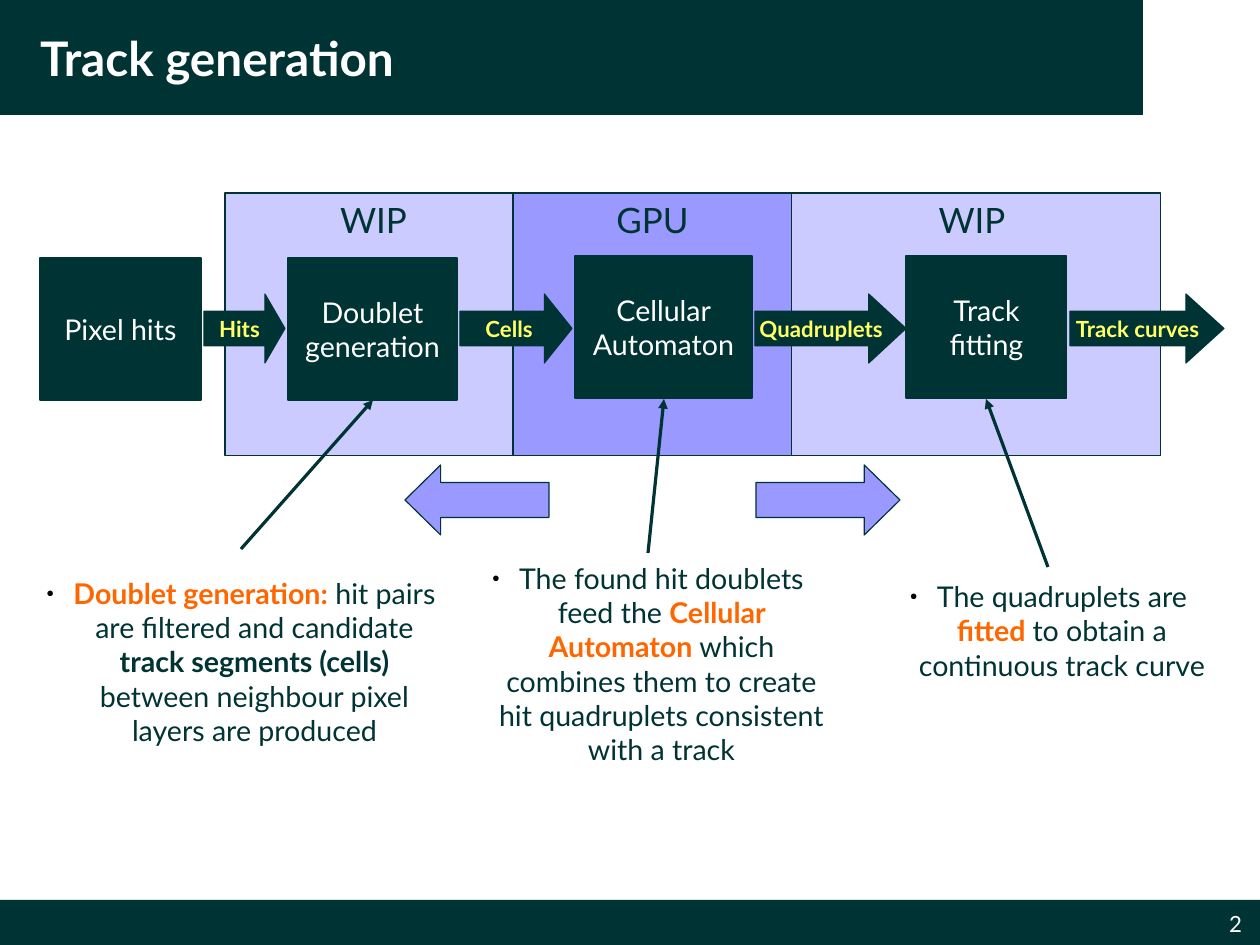
"""Build the track generation slide: a pipeline diagram with three explanations."""
from lxml import etree
from pptx import Presentation
from pptx.dml.color import RGBColor
from pptx.enum.shapes import MSO_CONNECTOR, MSO_SHAPE
from pptx.enum.text import MSO_ANCHOR, MSO_AUTO_SIZE, PP_ALIGN
from pptx.oxml.ns import qn
from pptx.util import Pt

PX = 8000
RECTANGLE = MSO_SHAPE.RECTANGLE
LEFT_ARROW, RIGHT_ARROW = MSO_SHAPE.LEFT_ARROW, MSO_SHAPE.RIGHT_ARROW
STRAIGHT = MSO_CONNECTOR.STRAIGHT
TOP, MIDDLE = MSO_ANCHOR.TOP, MSO_ANCHOR.MIDDLE
LEFT, CENTER, RIGHT = PP_ALIGN.LEFT, PP_ALIGN.CENTER, PP_ALIGN.RIGHT
NO_AUTOFIT = MSO_AUTO_SIZE.NONE

DARK = RGBColor(0x00, 0x33, 0x33)
VIOLET = RGBColor(0x99, 0x99, 0xFF)
ORANGE = RGBColor(0xFF, 0x66, 0x00)
YELLOW = RGBColor(0xFF, 0xFF, 0x66)
WHITE = RGBColor(0xFF, 0xFF, 0xFF)

PLAIN = {"size": Pt(18), "bold": False, "color": DARK}
STRONG = {**PLAIN, "bold": True}
ACCENT = {**STRONG, "color": ORANGE}
ZONE = {**PLAIN, "size": Pt(22)}
STAGE = {**PLAIN, "color": WHITE}
FLOW = {"size": Pt(14), "bold": True, "color": YELLOW}
TITLE = {"size": Pt(30), "bold": True, "color": WHITE}
NUMBER = {"size": Pt(14), "bold": False, "color": WHITE}


def add_block(kind, box, fill, outlined=True):
    """Add a filled preset shape, with a hairline unless told otherwise."""
    shape = slide.shapes.add_shape(kind, *[value * PX for value in box])
    shape.shadow.inherit = False
    shape.fill.solid()
    shape.fill.fore_color.rgb = fill
    if outlined:
        shape.line.color.rgb = DARK
        shape.line.width = 0
    else:
        shape.line.fill.background()
    return shape


def write(shape, runs, alignment=CENTER, anchor=MIDDLE, wrap=True):
    """Fill a shape with one paragraph of (text, format) runs."""
    frame = shape.text_frame
    frame.auto_size = NO_AUTOFIT
    frame.word_wrap = wrap
    frame.vertical_anchor = anchor
    paragraph = frame.paragraphs[0]
    paragraph.alignment = alignment
    paragraph.space_before = Pt(0)
    for text, style in runs:
        run = paragraph.add_run()
        run.text = text
        run.font.name = "Lato"
        for name, value in style.items():
            if name == "color":
                run.font.color.rgb = value
            else:
                setattr(run.font, name, value)
    return paragraph


presentation = Presentation()
presentation.slide_width = 1260 * PX
presentation.slide_height = 945 * PX
slide = presentation.slides.add_slide(presentation.slide_layouts.get_by_name("Comparison"))
placeholders = {item.placeholder_format.idx: item for item in slide.placeholders}

title = slide.shapes.title
title.left, title.top, title.width, title.height = 0, 0, 1143 * PX, 115 * PX
title.fill.solid()
title.fill.fore_color.rgb = DARK
write(title, [("Track generation", TITLE)], LEFT)
margins = {"margin_left": 40 * PX, "margin_right": 0, "margin_top": 0, "margin_bottom": 0}
for name, value in margins.items():
    setattr(title.text_frame, name, value)

add_block(RECTANGLE, (0, 900, 1260, 45), DARK, outlined=False)

zones = [("WIP", 783, 378, 50), ("WIP", 225, 297, 50), ("GPU", 513, 279, 100)]
for label, left, width, opacity in zones:
    zone = add_block(RECTANGLE, (left, 193, width, 263), VIOLET)
    write(zone, [(label, ZONE)], anchor=TOP, wrap=False)
    if opacity < 100:
        color = zone.fill._xPr.find(qn("a:solidFill"))[0]
        etree.SubElement(color, qn("a:alpha"), val=str(opacity * 1000))

for kind, left in [(LEFT_ARROW, 405), (RIGHT_ARROW, 756)]:
    arrow = add_block(kind, (left, 465, 144, 70), VIOLET)
    arrow.adjustments[1] = 0.51

stages = [
    ("Pixel hits", 40, 258, 161),
    ("Doublet generation", 288, 258, 169),
    ("Cellular Automaton", 575, 256, 177),
    ("Track fitting", 906, 256, 161),
]
for label, left, top, width in stages:
    stage = add_block(RECTANGLE, (left, top, width, 142), DARK)
    write(stage, [(label, STAGE)])

flows = [
    ("Hits", 204, 81, 0.29),
    ("Cells", 460, 112, 0.4),
    ("Quadruplets", 755, 151, 0.54),
    ("Track curves", 1070, 154, 0.55),
]
for label, left, width, head in flows:
    flow = add_block(RIGHT_ARROW, (left, 294, width, 69), DARK)
    flow.adjustments[1] = head
    write(flow, [(label, FLOW)], wrap=False)

explanations = [
    (1, (32, 549, 418, 225), [
        ("Doublet generation:", ACCENT),
        (" hit pairs are filtered and candidate ", PLAIN),
        ("track segments (cells) ", STRONG),
        ("between neighbour pixel layers are produced", PLAIN),
    ]),
    (2, (450, 541, 396, 245), [
        ("The found hit doublets feed the ", PLAIN),
        ("Cellular Automaton ", ACCENT),
        ("which combines them to create hit quadruplets consistent with a track", PLAIN),
    ]),
    (3, (873, 547, 351, 167), [
        ("The quadruplets are ", PLAIN),
        ("fitted ", ACCENT),
        ("to obtain a continuous track curve", PLAIN),
    ]),
]
for index, box, runs in explanations:
    body = placeholders[index]
    body.left, body.top, body.width, body.height = [value * PX for value in box]
    properties = write(body, runs)._p.get_or_add_pPr()
    properties.set("marL", str(27 * PX))
    properties.set("indent", str(-27 * PX))
    bullet_color = etree.SubElement(properties, qn("a:buClr"))
    etree.SubElement(bullet_color, qn("a:srgbClr"), val="000000")
    etree.SubElement(properties, qn("a:buSzPct"), val="45000")
    etree.SubElement(properties, qn("a:buChar"), char="●")

unused = placeholders[4].element
unused.getparent().remove(unused)

pointers = [(241, 549, 373, 400), (648, 553, 664, 399), (1048, 567, 986, 399)]
for ends in pointers:
    pointer = slide.shapes.add_connector(STRAIGHT, *[value * PX for value in ends])
    pointer.line.color.rgb = DARK
    pointer.line.width = 0
    etree.SubElement(pointer.line._get_or_add_ln(), qn("a:tailEnd"), type="triangle")
    etree.SubElement(pointer.element.spPr, qn("a:effectLst"))

page_number = slide.shapes.add_textbox(1071 * PX, 910 * PX, 171 * PX, 25 * PX)
write(page_number, [("2", NUMBER)], RIGHT, TOP)
for name in margins:
    setattr(page_number.text_frame, name, 0)

presentation.save("out.pptx")
